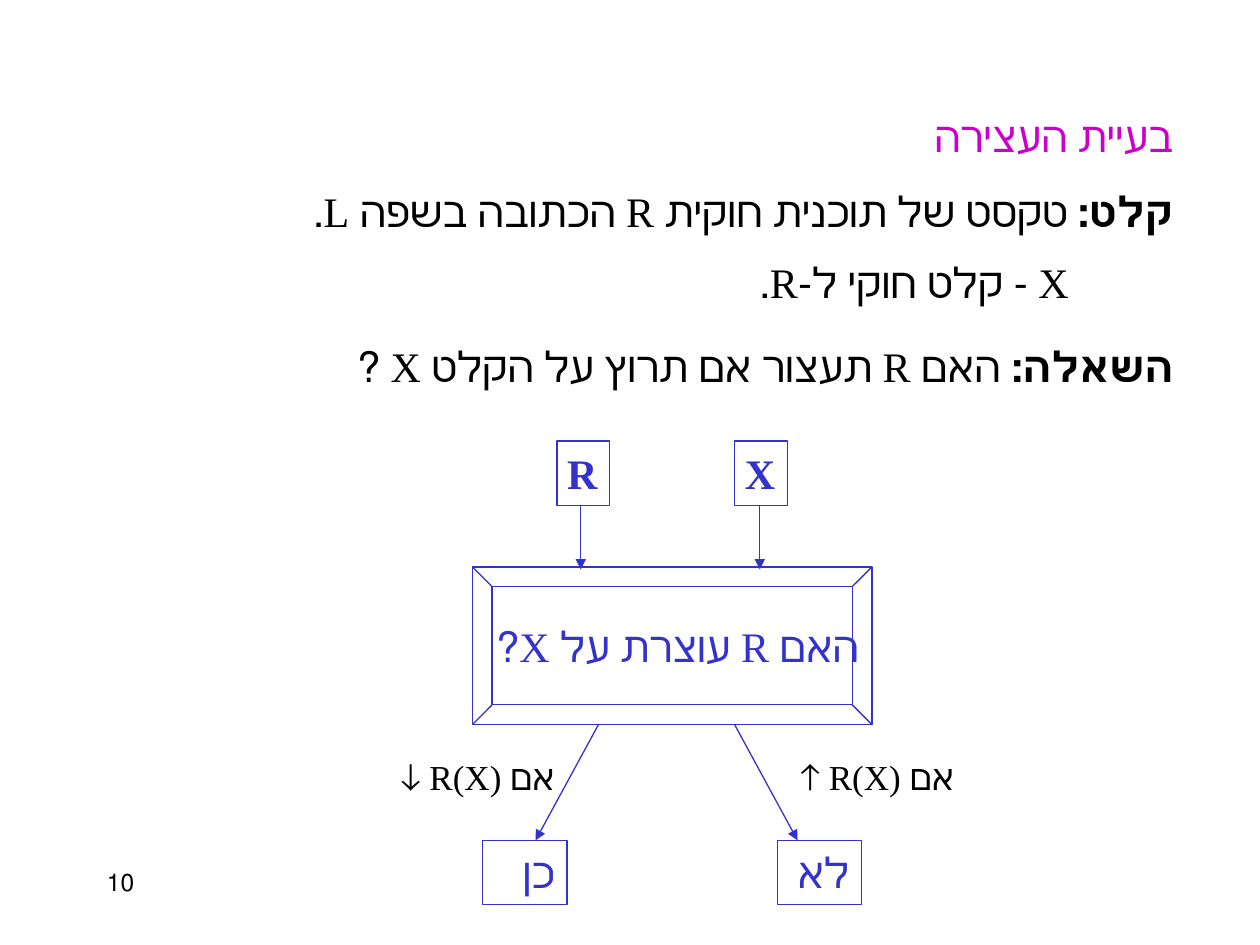
from pptx import Presentation
from pptx.dml.color import RGBColor
from pptx.enum.shapes import MSO_CONNECTOR, MSO_SHAPE
from pptx.enum.text import MSO_ANCHOR, MSO_AUTO_SIZE, PP_ALIGN
from pptx.oxml.ns import qn
from pptx.util import Inches, Pt
from lxml.etree import SubElement

BLACK = RGBColor(0x00, 0x00, 0x00)
BLUE = RGBColor(0x33, 0x33, 0xCC)
MAGENTA = RGBColor(0xCC, 0x00, 0xCC)
FONT = "Times New Roman"


class HebrewPage:
    """Holds the style and the current slide of a right-to-left deck."""

    def __init__(self, deck):
        """Add a title-only slide to the deck."""
        self.page = deck.slides.add_slide(deck.slide_layouts[5])

    def set_text(self, shape, paragraphs, color=BLACK, size=24, bold=False,
                 align=PP_ALIGN.RIGHT, anchor=MSO_ANCHOR.TOP, wrap=True):
        """Fill a shape with paragraphs of (bold lead, rest, indent)."""
        frame = shape.text_frame
        frame.auto_size = MSO_AUTO_SIZE.NONE
        frame.word_wrap = wrap
        frame.vertical_anchor = anchor
        for index, (lead, rest, indent) in enumerate(paragraphs):
            para = frame.add_paragraph() if index else frame.paragraphs[0]
            para.alignment = align
            para.space_before = Pt(12 if index else 0)
            para.font.name, para.font.size = FONT, Pt(size)
            para.font.color.rgb, para.font.bold = color, bold
            properties = para._p.get_or_add_pPr()
            properties.set("rtl", "1")
            if indent:
                for name in ("marL", "marR"):
                    properties.set(name, str(Inches(indent)))
                properties.set("indent", "0")
            if lead:
                span = para.add_run()
                span.text, span.font.bold = lead, True
            para.add_run().text = rest

    def title(self, text, left, top, width, height):
        """Place and format the title placeholder."""
        title = self.page.shapes.title
        title.left, title.top = Inches(left), Inches(top)
        title.width, title.height = Inches(width), Inches(height)
        self.set_text(title, [("", text, 0)], MAGENTA)

    def text(self, paragraphs, left, top, width, height, **style):
        """Add a text box."""
        box = self.page.shapes.add_textbox(
            Inches(left), Inches(top), Inches(width), Inches(height))
        self.set_text(box, paragraphs, **style)

    def box(self, text, left, top, width, height,
            kind=MSO_SHAPE.RECTANGLE, **style):
        """Add an outlined shape with blue text."""
        box = self.page.shapes.add_shape(
            kind, Inches(left), Inches(top), Inches(width), Inches(height))
        box.shadow.inherit = False
        box.fill.background()
        box.line.color.rgb, box.line.width = BLUE, Pt(0.75)
        self.set_text(box, [("", text, 0)], BLUE, **style)

    def arrow(self, start_x, start_y, end_x, end_y):
        """Add a straight arrow."""
        arrow = self.page.shapes.add_connector(
            MSO_CONNECTOR.STRAIGHT, Inches(start_x), Inches(start_y),
            Inches(end_x), Inches(end_y))
        arrow.line.color.rgb, arrow.line.width = BLUE, Pt(0.75)
        properties = arrow._element.spPr
        SubElement(properties.find(qn("a:ln")), qn("a:tailEnd"), type="triangle")
        SubElement(properties, qn("a:effectLst"))


def build():
    """Build the halting problem slide."""
    deck = Presentation()
    deck.slide_width, deck.slide_height = Inches(10), Inches(7.5)
    page = HebrewPage(deck)

    page.text([("", "10", 0)], 0.75, 6.83, 2.08, 0.5,
              size=14, align=PP_ALIGN.LEFT)
    page.title("בעיית העצירה", 0.08, 0.83, 9.33, 0.5)
    page.text([("קלט:", " טקסט של תוכנית חוקית R הכתובה בשפה L.", 0),
               ("", "X - קלט חוקי ל-R.", 0.83)], 0.08, 1.42, 9.33, 1.1)
    page.text([("השאלה: ", "האם R תעצור אם תרוץ על הקלט X ?", 0)],
              0.08, 2.65, 9.33, 0.5)

    page.box("האם R עוצרת על X? ", 3.75, 4.5, 3.17, 1.25, MSO_SHAPE.BEVEL,
             align=PP_ALIGN.CENTER, anchor=MSO_ANCHOR.MIDDLE, wrap=False)
    for name, left, arrow_x in (("X", 5.83, 6.03), ("R", 4.42, 4.61)):
        page.box(name, left, 3.5, 0.42, 0.51, bold=True)
        page.arrow(arrow_x, 4.02, arrow_x, 4.52)
    for answer, left, start_x, end_x, condition, label_left in (
            ("לא", 6.17, 5.83, 6.33, "אם R(X) ↑", 5.92),
            ("כן", 3.83, 4.75, 4.25, "אם R(X) ↓", 2.75)):
        page.box(answer, left, 6.67, 0.67, 0.51)
        page.arrow(start_x, 5.75, end_x, 6.67)
        page.text([("", condition, 0)], label_left, 5.95, 1.75, 0.5, size=20)

    deck.save("out.pptx")


build()
